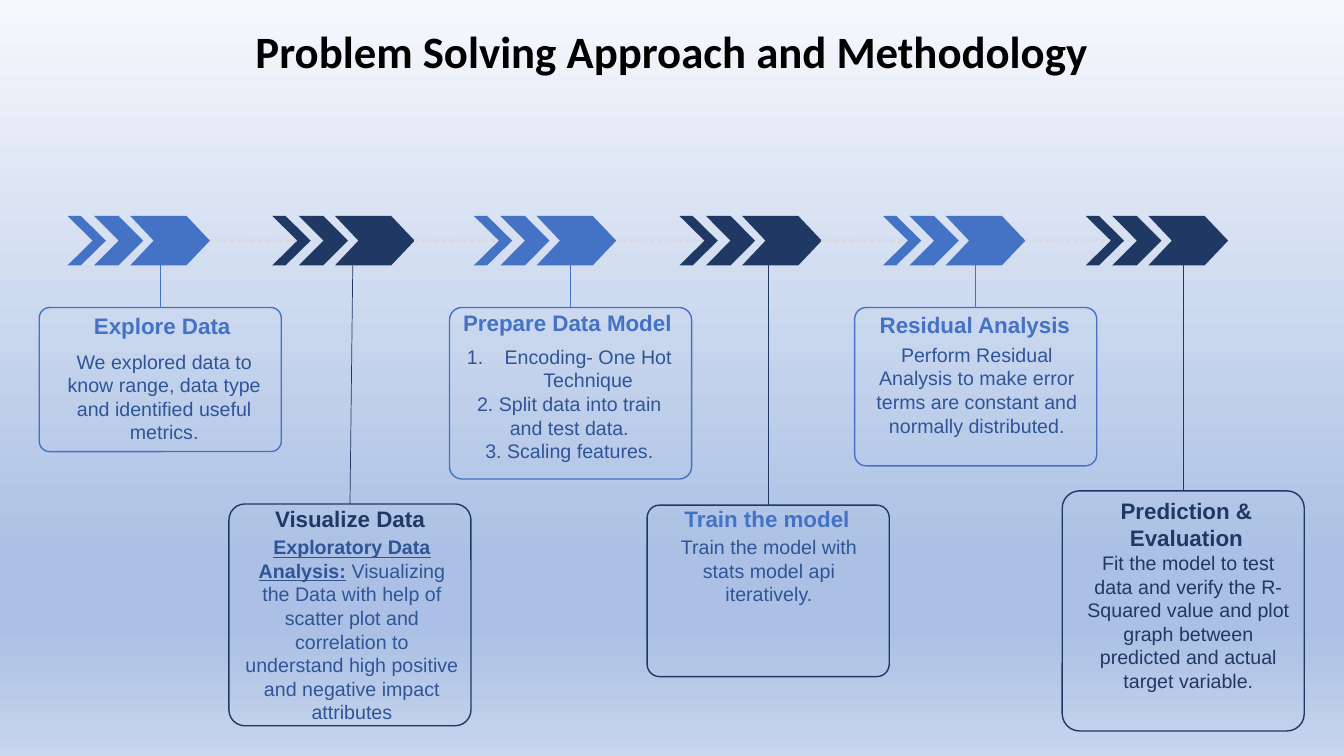
from copy import deepcopy
from pptx import Presentation
from pptx.dml.color import RGBColor
from pptx.enum.dml import MSO_LINE
from pptx.enum.shapes import MSO_CONNECTOR, MSO_SHAPE as SHAPE
from pptx.enum.text import MSO_AUTO_SIZE, PP_ALIGN
from pptx.oxml.ns import qn
from pptx.util import Cm, Pt
from lxml.etree import SubElement

BLUE, NAVY, MID, BLACK, GREY = "4472C4", "203864", "2F5597", "000000", "D9D9D9"
rgb = RGBColor.from_string

prs = Presentation()
prs.slide_width, prs.slide_height = Cm(33.87), Cm(19.05)
s = prs.slides.add_slide(prs.slide_layouts[6])


def add_line(x1, y1, x2, y2, color, width):
    line = s.shapes.add_connector(MSO_CONNECTOR.STRAIGHT, Cm(x1), Cm(y1), Cm(x2), Cm(y2))
    line.line.color.rgb = rgb(color)
    line.line.width = Pt(width)
    SubElement(line._element.spPr, qn("a:effectLst"))
    return line


def add_text(x, y, w, h, paragraphs, size, color, bold=False, font="Arial"):
    """Centred text; a bar in a paragraph starts a new run."""
    tf = s.shapes.add_textbox(Cm(x), Cm(y), Cm(w), Cm(h)).text_frame
    tf.word_wrap = True
    tf.auto_size = MSO_AUTO_SIZE.SHAPE_TO_FIT_TEXT
    tf.margin_left = tf.margin_right = tf.margin_top = tf.margin_bottom = 0
    for i, text in enumerate(paragraphs):
        p = tf.add_paragraph() if i else tf.paragraphs[0]
        p.alignment = PP_ALIGN.CENTER
        for piece in text.split("|"):
            r = p.add_run()
            r.text = piece
            r.font.name, r.font.size, r.font.bold = font, Pt(size), bold
            r.font.color.rgb = rgb(color)
    return tf


# Background gradient, top to bottom
fill = s.background.fill
fill.gradient()
fill.gradient_angle = 270
gs_list = next(s._element.iter(qn("a:gsLst")))
for _ in range(2):
    gs_list.append(deepcopy(gs_list[0]))
stops = [(0, "F6F8FC"), (0.74, "ABC0E4"), (0.83, "ABC0E4"), (1, "C7D5ED")]
for stop, (position, color) in zip(fill.gradient_stops, stops):
    stop.position = position
    stop.color.rgb = rgb(color)

# Title
tf = add_text(6.1, 0.48, 21.67, 1.63, ["Problem Solving Approach and Methodology"],
              32, BLACK, True, "Calibri")
tf.word_wrap = False
tf.margin_left = tf.margin_right = Cm(0.25)
tf.margin_top = tf.margin_bottom = Cm(0.13)

# Chevron triples, dotted links between them
ROW_TOP, ROW_H = 5.44, 1.25
ROW_MID, ROW_BOTTOM = ROW_TOP + ROW_H / 2, ROW_TOP + ROW_H
chevrons = [(1.58, 2.01, 0.474), (0.67, 1.24, 0.501), (0, 0.97, 0.655)]  # offset, width, point
arrow_lefts = [1.7, 6.86, 11.94, 17.12, 22.25, 27.36]
for i, left in enumerate(arrow_lefts):
    for offset, width, point in chevrons:
        sp = s.shapes.add_shape(SHAPE.CHEVRON, Cm(left + offset), Cm(ROW_TOP), Cm(width), Cm(ROW_H))
        sp.adjustments[0] = point
        sp.shadow.inherit = False
        sp.fill.solid()
        sp.fill.fore_color.rgb = rgb(NAVY if i % 2 else BLUE)
        sp.line.fill.background()
for left, following in zip(arrow_lefts, arrow_lefts[1:]):
    link = add_line(left + 3.58, ROW_MID, following + 0.61, ROW_MID, GREY, 2.5)
    link.line.dash_style = MSO_LINE.ROUND_DOT

# Steps: box (left, top, height), heading (left, top, colour), body (top, lines, colour)
BOX_W, TEXT_W, HEAD_LINE, BODY_LINE = 6.1, 5.44, 0.69, 0.6
steps = [
    ((0.99, 7.75, 3.63), "Explore Data", (1.37, 7.87, BLUE), (8.81, 4, MID),
     ["We explored data to know range, data type and identified useful metrics."]),
    ((5.77, 12.7, 5.59), "Visualize Data", (6.1, 12.73, NAVY), (13.49, 8, MID),
     ["Exploratory Data Analysis:| Visualizing the Data with help of scatter plot and "
      "correlation to understand high positive and negative impact attributes"]),
    ((11.33, 7.75, 4.32), "Prepare Data Model", (11.58, 7.8, BLUE), (8.69, 5, MID),
     ["Encoding- One Hot Technique", "2. Split data into train and test data.",
      "3. Scaling features."]),
    ((16.31, 12.73, 4.32), "Train the model", (16.61, 12.73, BLUE), (13.49, 3, MID),
     ["Train the model with stats model api iteratively."]),
    ((21.54, 7.75, 3.99), "Residual Analysis", (21.85, 7.85, BLUE), (8.64, 4, MID),
     ["Perform Residual Analysis to make error terms are constant and normally distributed."]),
    ((26.77, 12.37, 6.05), "Prediction & Evaluation", (27.18, 12.52, NAVY), (13.89, 6, NAVY),
     ["Fit the model to test data and verify the R-Squared value and plot graph between "
      "predicted and actual target variable."]),
]
bodies = {}
for i, (box, name, head, body, paragraphs) in enumerate(steps):
    color = NAVY if i % 2 else BLUE
    left, top, height = box
    center = left + BOX_W / 2
    stem_x = 8.89 if name == "Visualize Data" else center
    add_line(stem_x, ROW_BOTTOM, center, top, color, 0.5)

    sp = s.shapes.add_shape(SHAPE.ROUNDED_RECTANGLE, Cm(left), Cm(top), Cm(BOX_W), Cm(height))
    sp.adjustments[0] = 0.072
    sp.shadow.inherit = False
    sp.fill.background()
    sp.line.color.rgb = rgb(color)
    sp.line.width = Pt(1)

    head_left, head_top, head_color = head
    body_top, lines, body_color = body
    bodies[name] = add_text(head_left + 0.05, body_top, TEXT_W, lines * BODY_LINE,
                            paragraphs, 14, body_color)
    head_lines = 2 if name == "Prediction & Evaluation" else 1
    add_text(head_left, head_top, TEXT_W, head_lines * HEAD_LINE, [name], 16, head_color, True)

# Underlined lead-in
r = bodies["Visualize Data"].paragraphs[0].runs[0]
r.font.bold = r.font.underline = True

# Automatic number on the first preparation item
pPr = bodies["Prepare Data Model"].paragraphs[0]._p.get_or_add_pPr()
pPr.set("marL", str(Cm(0.95)))
pPr.set("indent", str(-Cm(0.95)))
SubElement(pPr, qn("a:buFont")).set("typeface", "+mj-lt")
SubElement(pPr, qn("a:buAutoNum")).set("type", "arabicPeriod")

prs.save("out.pptx")
